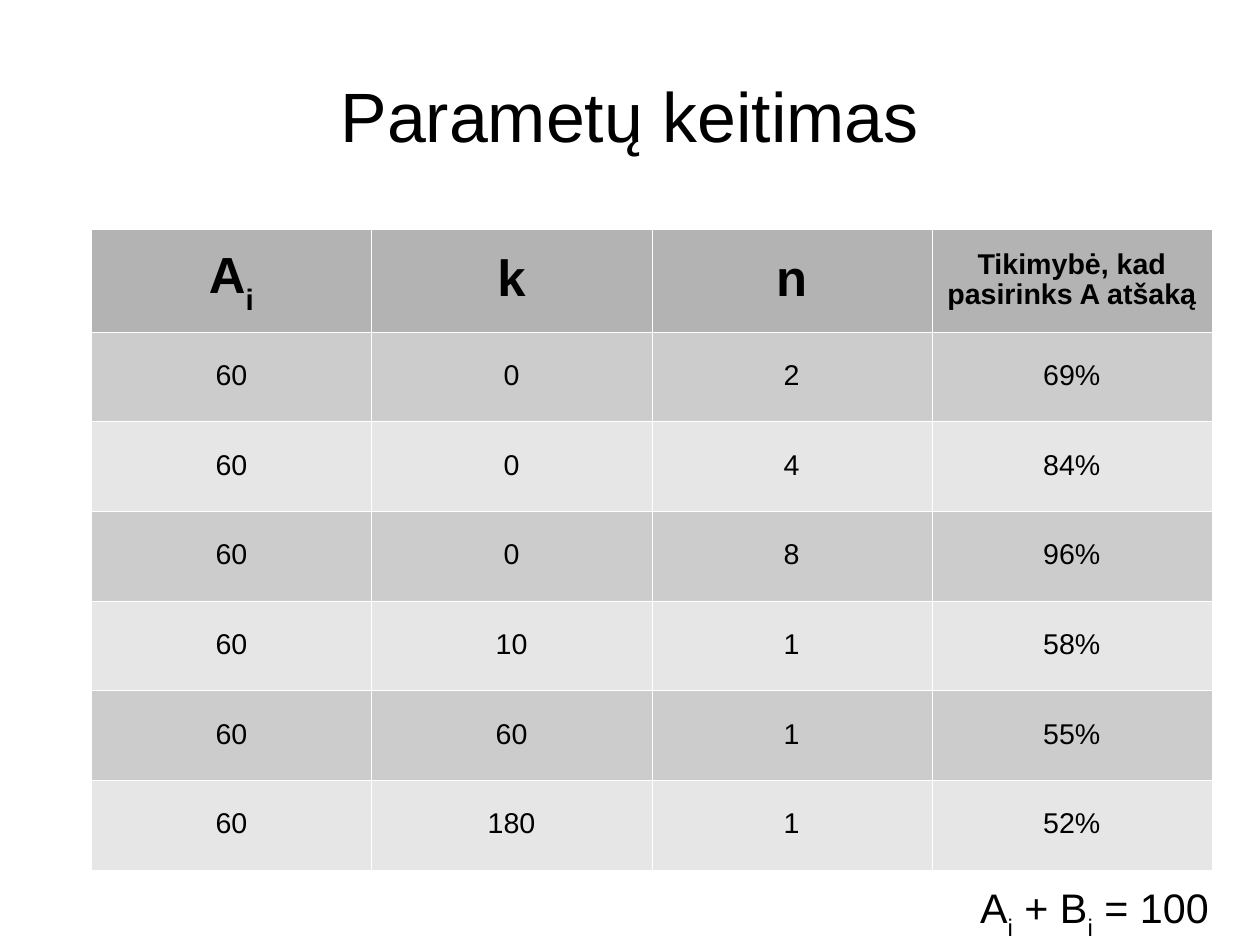
from lxml import etree
from pptx import Presentation
from pptx.dml.color import RGBColor
from pptx.enum import text
from pptx.oxml import ns
from pptx.util import Cm, Pt

BLACK = RGBColor(0x00, 0x00, 0x00)
HEADER_GRAY = RGBColor(0xB3, 0xB3, 0xB3)
BAND_GRAYS = (RGBColor(0xCC, 0xCC, 0xCC), RGBColor(0xE6, 0xE6, 0xE6))
BORDER_WHITE = RGBColor(0xFF, 0xFF, 0xFF)

HEADINGS = (
    (("A", "i"), 32),
    (("k",), 32),
    (("n",), 32),
    (("Tikimybė, kad pasirinks A atšaką",), 18),
)
TRIALS = (
    (60, 0, 2, "69%"),
    (60, 0, 4, "84%"),
    (60, 0, 8, "96%"),
    (60, 10, 1, "58%"),
    (60, 60, 1, "55%"),
    (60, 180, 1, "52%"),
)


def write_line(frame, parts, size, bold=False):
    """Write parts in turn; every second part is a subscript."""
    line = frame.paragraphs[0]
    line.alignment = text.PP_ALIGN.CENTER
    line.line_spacing = 0.94
    for index, part in enumerate(parts):
        run = line.add_run()
        run.text = part
        run.font.name = "Arial"
        run.font.size = Pt(size)
        run.font.bold = bold
        run.font.color.rgb = BLACK
        if index % 2:
            run._r.get_or_add_rPr().set("baseline", "-33000")


def add_caption(slide, box, parts, size, top_inset):
    frame = slide.shapes.add_textbox(*box).text_frame
    frame.word_wrap = True
    frame.vertical_anchor = text.MSO_ANCHOR.MIDDLE
    frame.margin_left = frame.margin_right = frame.margin_bottom = 0
    frame.margin_top = top_inset
    write_line(frame, parts, size)


def add_borders(cell):
    properties = cell._tc.get_or_add_tcPr()
    for position, side in enumerate(("a:lnL", "a:lnR", "a:lnT", "a:lnB")):
        border = etree.Element(ns.qn(side), w=str(Pt(0.06)))
        fill = etree.SubElement(border, ns.qn("a:solidFill"))
        etree.SubElement(fill, ns.qn("a:srgbClr"), val=str(BORDER_WHITE))
        properties.insert(position, border)


def fill_cell(cell, parts, size, bold, background):
    cell.vertical_anchor = text.MSO_ANCHOR.MIDDLE
    cell.margin_left = cell.margin_right = Cm(0.25)
    cell.margin_top = cell.margin_bottom = Cm(0.13)
    cell.fill.solid()
    cell.fill.fore_color.rgb = background
    add_borders(cell)
    write_line(cell.text_frame, parts, size, bold)


def add_trials_table(slide, box, header_height):
    left, top, width, height = box
    table = slide.shapes.add_table(
        len(TRIALS) + 1, len(HEADINGS), left, top, width, height).table
    for column in table.columns:
        column.width = width // len(HEADINGS)
    for row in table.rows:
        row.height = (height - header_height) // len(TRIALS)
    table.rows[0].height = header_height

    for column, (parts, size) in enumerate(HEADINGS):
        fill_cell(table.cell(0, column), parts, size, True, HEADER_GRAY)
    for row, trial in enumerate(TRIALS):
        for column, value in enumerate(trial):
            fill_cell(table.cell(row + 1, column), (str(value),), 18, False,
                      BAND_GRAYS[row % 2])


def main():
    deck = Presentation()
    deck.slide_width, deck.slide_height = Cm(28), Cm(21)
    slide = deck.slides.add_slide(deck.slide_layouts[6])
    add_caption(slide, (Cm(1.4), Cm(0.84), Cm(25.2), Cm(3.5)),
                ("Parametų keitimas",), 44, Cm(0.1))
    add_trials_table(slide, (Cm(2.03), Cm(5.08), Cm(24.9), Cm(14.25)), Cm(2.29))
    add_caption(slide, (Cm(20.96), Cm(18.8), Cm(6.73), Cm(2.79)),
                ("A", "i", " + B", "i", " = 100"), 26, Cm(0.05))
    deck.save("out.pptx")


if __name__ == "__main__":
    main()
